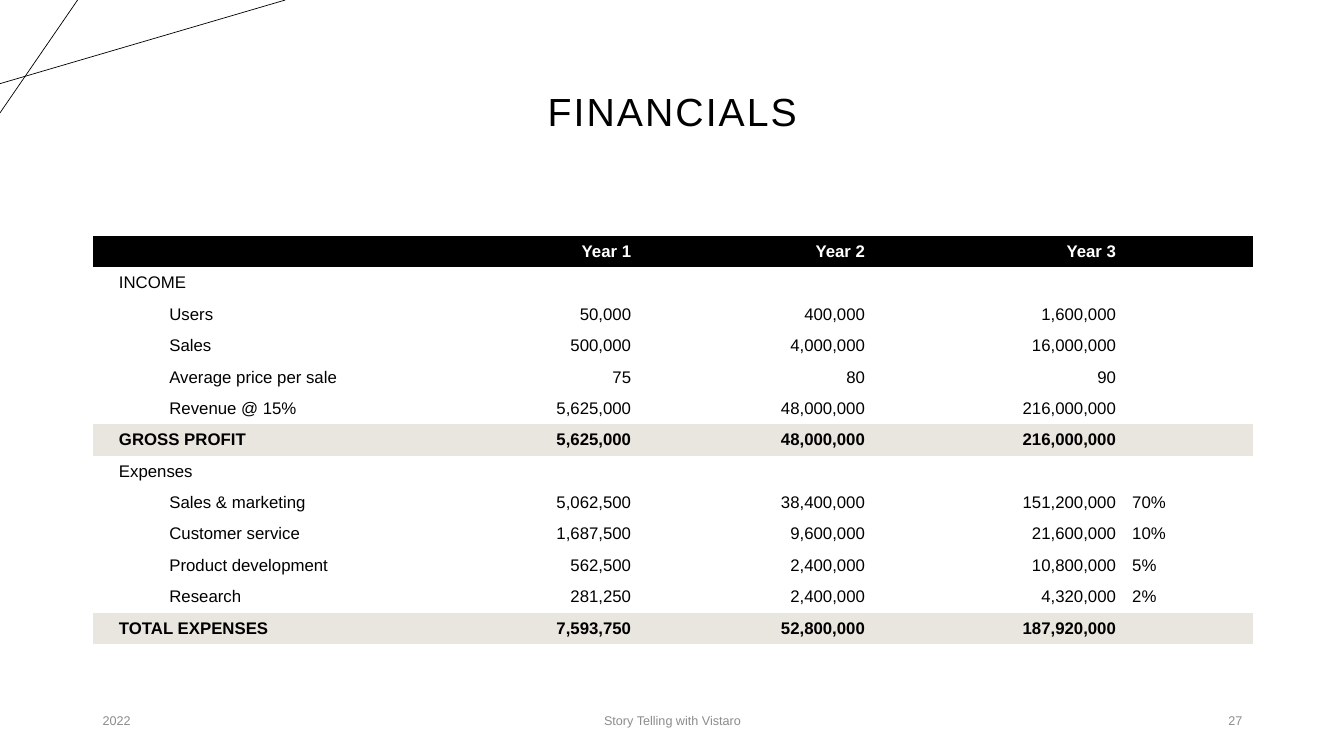
from lxml import etree
from pptx import Presentation
from pptx.dml.color import RGBColor
from pptx.enum.shapes import MSO_CONNECTOR
from pptx.enum.text import MSO_ANCHOR, PP_ALIGN
from pptx.oxml.ns import qn
from pptx.util import Inches, Pt

# Content
TITLE = "FINANCIALS"
HEADER, SECTION, ITEM, TOTAL = "header", "section", "item", "total"
ROWS = [
    (HEADER, "", "Year 1", "Year 2", "Year 3", ""),
    (SECTION, "INCOME", "", "", "", ""),
    (ITEM, "Users", "50,000", "400,000", "1,600,000", ""),
    (ITEM, "Sales", "500,000", "4,000,000", "16,000,000", ""),
    (ITEM, "Average price per sale", "75", "80", "90", ""),
    (ITEM, "Revenue @ 15%", "5,625,000", "48,000,000", "216,000,000", ""),
    (TOTAL, "GROSS PROFIT", "5,625,000", "48,000,000", "216,000,000", ""),
    (SECTION, "Expenses", "", "", "", ""),
    (ITEM, "Sales & marketing", "5,062,500", "38,400,000", "151,200,000", "70%"),
    (ITEM, "Customer service", "1,687,500", "9,600,000", "21,600,000", "10%"),
    (ITEM, "Product development", "562,500", "2,400,000", "10,800,000", "5%"),
    (ITEM, "Research", "281,250", "2,400,000", "4,320,000", "2%"),
    (TOTAL, "TOTAL EXPENSES", "7,593,750", "52,800,000", "187,920,000", ""),
]
LEFT, CENTER, RIGHT = PP_ALIGN.LEFT, PP_ALIGN.CENTER, PP_ALIGN.RIGHT
FOOTERS = [
    ("2022", 0.92, 3, LEFT),
    ("Story Telling with Vistaro", 4.42, 4.5, CENTER),
    ("27", 9.42, 3, RIGHT),
]
CORNER_LINES = [(0, 0.83, 2.83, 0), (0.77, 0, 0, 1.12)]

# Format
FONT = "Arial"
BLACK, WHITE, SAND, GRAY = "000000", "FFFFFF", "E9E6DF", "8C8C8C"
ROW_FILLS = {HEADER: BLACK, TOTAL: SAND}
COLUMN_WIDTHS = [3.54, 1.88, 2.32, 2.49, 1.28]
COLUMN_ALIGNS = [LEFT, RIGHT, RIGHT, RIGHT, LEFT]
TABLE_LEFT, TABLE_TOP, TABLE_WIDTH, TABLE_HEIGHT = 0.92, 2.34, 11.5, 4.05
NO_STYLE = "{2D5ABB26-0587-4C30-8999-92F81FD0307C}"


def color(value):
    return RGBColor.from_string(value)


def write_text(frame, text, *, size, fill=BLACK, bold=False, align=LEFT,
               indent=0, spacing=0, line_spacing=None):
    paragraph = frame.paragraphs[0]
    paragraph.alignment = align
    if line_spacing:
        paragraph.line_spacing = line_spacing
    if indent:
        properties = paragraph._p.get_or_add_pPr()
        properties.set("marL", str(Inches(indent)))
        properties.set("indent", "0")
    if not text:  # keeps the empty row as low as the others
        end = etree.SubElement(paragraph._p, qn("a:endParaRPr"))
        end.set("sz", str(size * 100))
        return
    run = paragraph.add_run()
    run.text = text
    run.font.name = FONT
    run.font.size = Pt(size)
    run.font.bold = bold
    run.font.color.rgb = color(fill)
    if spacing:
        run.font._element.set("spc", str(int(spacing * 100)))


def add_text(slide, text, left, top, width, height, **text_format):
    box = slide.shapes.add_textbox(*map(Inches, (left, top, width, height)))
    box.text_frame.word_wrap = True
    box.text_frame.vertical_anchor = MSO_ANCHOR.MIDDLE
    write_text(box.text_frame, text, **text_format)


def add_line(slide, *ends):
    line = slide.shapes.add_connector(MSO_CONNECTOR.STRAIGHT, *map(Inches, ends))
    line.line.color.rgb = color(BLACK)
    line.line.width = Pt(0.5)
    etree.SubElement(line._element.spPr, qn("a:effectLst"))


def fill_cell(cell, kind, column, text):
    cell.vertical_anchor = MSO_ANCHOR.MIDDLE
    cell.margin_left = Inches(0.08 if column else 0.26)
    cell.margin_right = Inches(0.08)
    cell.margin_top = cell.margin_bottom = Inches(0.04)
    if kind in ROW_FILLS:
        cell.fill.solid()
        cell.fill.fore_color.rgb = color(ROW_FILLS[kind])
    else:
        cell.fill.background()
    write_text(cell.text_frame, text, size=12, bold=kind in ROW_FILLS,
               fill=WHITE if kind == HEADER else BLACK,
               align=COLUMN_ALIGNS[column],
               indent=0.5 if kind == ITEM and column == 0 else 0)


def add_financials(slide):
    frame = slide.shapes.add_table(
        len(ROWS), len(COLUMN_WIDTHS),
        *map(Inches, (TABLE_LEFT, TABLE_TOP, TABLE_WIDTH, TABLE_HEIGHT)))
    table = frame.table
    table.horz_banding = False
    next(frame._element.iter(qn("a:tableStyleId"))).text = NO_STYLE
    for column, width in zip(table.columns, COLUMN_WIDTHS):
        column.width = Inches(width)
    for row, (kind, *texts) in enumerate(ROWS):
        table.rows[row].height = Inches(TABLE_HEIGHT / len(ROWS))
        for column, text in enumerate(texts):
            fill_cell(table.cell(row, column), kind, column, text)


def main():
    presentation = Presentation()
    presentation.slide_width = Inches(13.33)
    presentation.slide_height = Inches(7.5)
    slide = presentation.slides.add_slide(presentation.slide_layouts[6])

    # Corner lines and title
    for ends in CORNER_LINES:
        add_line(slide, *ends)
    add_text(slide, TITLE, 0.92, 0.4, 11.5, 1.45, size=28, align=CENTER,
             spacing=1.5, line_spacing=0.9)

    # Table and footer
    add_financials(slide)
    for text, left, width, align in FOOTERS:
        add_text(slide, text, left, 6.95, width, 0.4, size=9, fill=GRAY, align=align)

    presentation.save("out.pptx")


if __name__ == "__main__":
    main()
